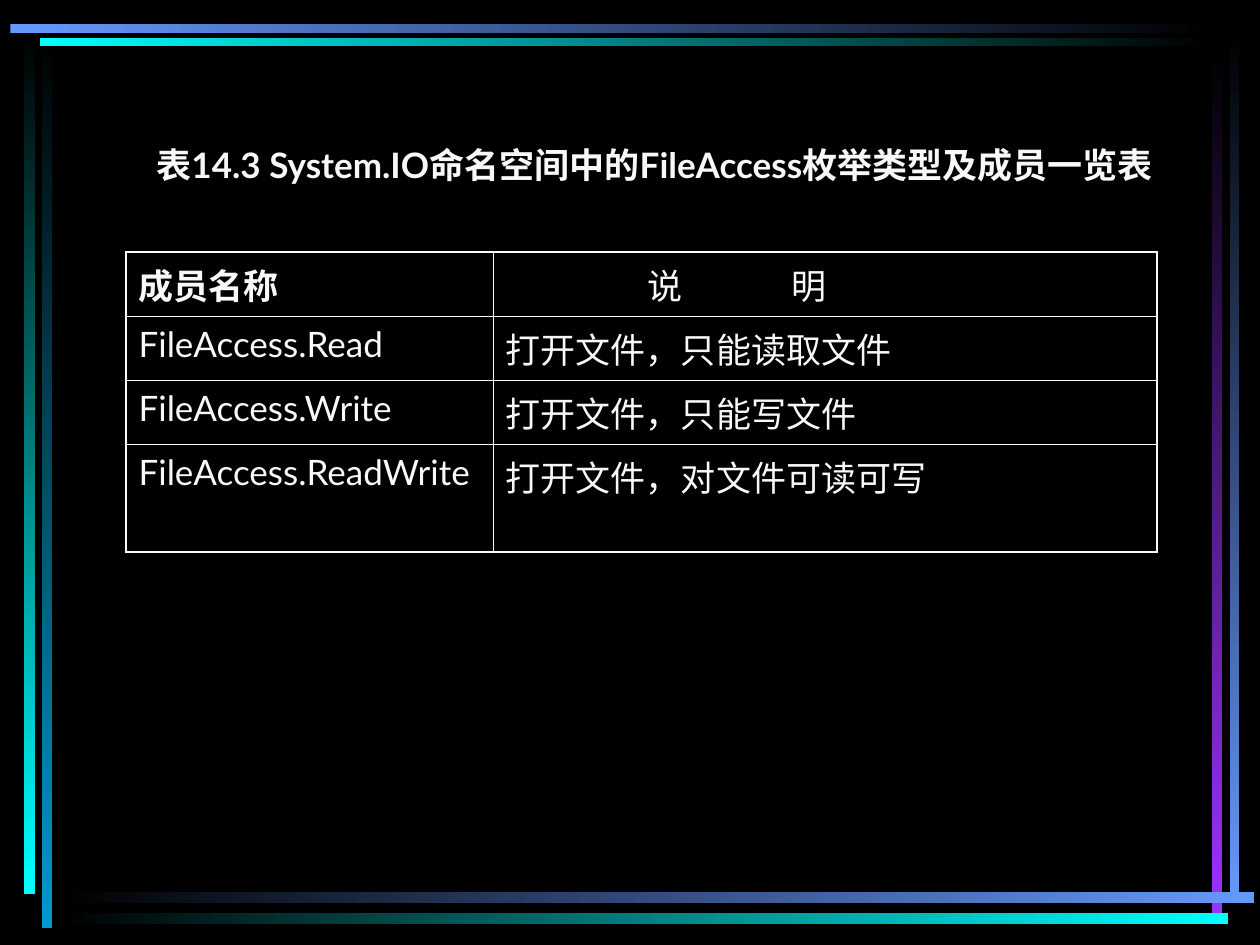
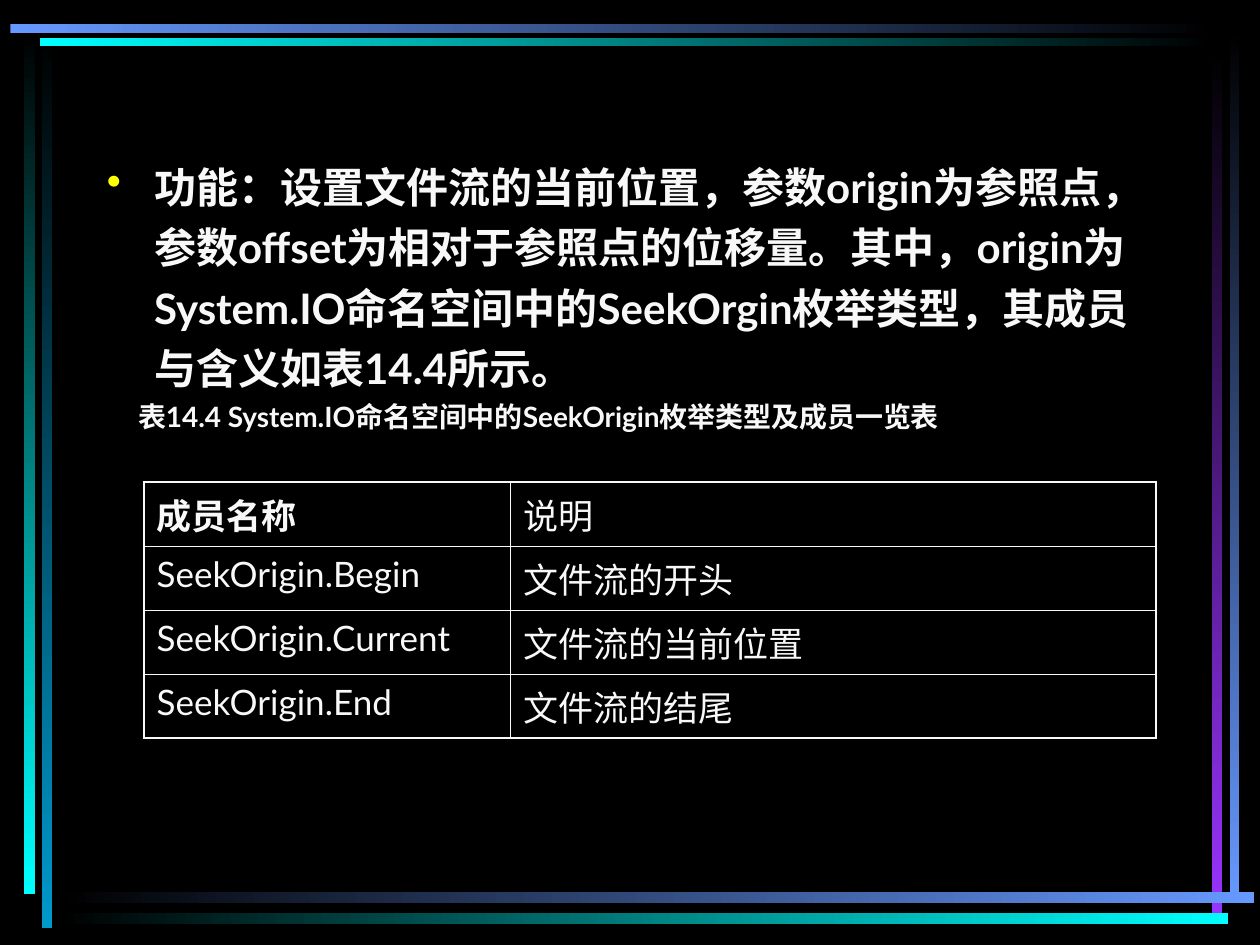
import lxml.etree
import pptx
import pptx.dml.color
import pptx.enum.lang
import pptx.enum.shapes
import pptx.enum.text
import pptx.oxml.ns
import pptx.util

Pt = pptx.util.Pt
RGB = pptx.dml.color.RGBColor
ALIGN = pptx.enum.text.PP_ALIGN
CHINESE = pptx.enum.lang.MSO_LANGUAGE_ID.SIMPLIFIED_CHINESE
qn = pptx.oxml.ns.qn

BLACK = RGB(0x00, 0x00, 0x00)
WHITE = RGB(0xF8, 0xF8, 0xF8)
YELLOW = RGB(0xFF, 0xFF, 0x00)
CYAN = RGB(0x00, 0xFF, 0xFF)
TEAL = RGB(0x00, 0x99, 0xCC)
BLUE = RGB(0x66, 0x99, 0xFF)
PURPLE = RGB(0x99, 0x33, 0xFF)
FONT = "Lato"
THIN, THICK = 0.45, 1.08

# Frame bars: left, top, width, height, colour, bright end
BARS = [
    (23.9, 20, 5.8, 510.2, TEAL, "bottom"),
    (13.7, 18, 6.1, 492.7, CYAN, "bottom"),
    (702.7, 17.3, 5.2, 499, BLUE, "bottom"),
    (692.6, 30.2, 6, 491.8, PURPLE, "bottom"),
    (32.4, 509.8, 684, 6, BLUE, "right"),
    (32.4, 521.9, 669.6, 6, CYAN, "right"),
    (23, 21.7, 671, 4.6, CYAN, "left"),
    (6, 13.5, 688.3, 5.2, BLUE, "left"),
]

ACCESS = {
    "box": (41.8, 78.2, 664.6, 41.8),
    "text": [("表14.3 System.IO命名空间中的FileAccess枚举类型及成员一览表",
              dict(size=20, bold=True, align=ALIGN.CENTER))],
    "at": (72, 144),
    "cols": (209.8, 379.5),
    "rows": (36.6, 36.6, 36.6, 61.8),
    "cells": [
        ("成员名称", "说 明"),
        ("FileAccess.Read", "打开文件，只能读取文件"),
        ("FileAccess.Write", "打开文件，只能写文件"),
        ("FileAccess.ReadWrite", "打开文件，对文件可读可写"),
    ],
    "head": dict(left=81, spread=29),
}
SEEK = {
    "box": (54, 82.8, 612, 385.2),
    "text": [
        ("功能：设置文件流的当前位置，参数origin为参照点，"
         "参数offset为相对于参照点的位移量。其中，"
         "origin为System.IO命名空间中的SeekOrgin枚举类型，"
         "其成员与含义如表14.4所示。",
         dict(size=24, bold=True, left=27, bullet=True,
              space=1.2, before=6)),
        ("表14.4 System.IO命名空间中的SeekOrigin枚举类型及成员一览表",
         dict(size=16, bold=True, left=17.8, before=4)),
    ],
    "at": (82.3, 275.5),
    "cols": (209.5, 368.9),
    "rows": (36.6,) * 4,
    "cells": [
        ("成员名称", "说明"),
        ("SeekOrigin.Begin", "文件流的开头"),
        ("SeekOrigin.Current", "文件流的当前位置"),
        ("SeekOrigin.End", "文件流的结尾"),
    ],
    "head": {},
}


def add(node, tag, **attrs):
    return lxml.etree.SubElement(node, qn(tag), attrs)


def write(para, text, size=20, bold=False, align=ALIGN.LEFT, space=1.0,
          before=0, left=0, bullet=False, spread=0):
    """Fill a paragraph; spread is extra letter spacing in points."""
    para.alignment, para.line_spacing = align, space
    para.space_before = Pt(before)
    props = para._p.get_or_add_pPr()
    props.set("marL", str(Pt(left)))
    props.set("indent", str(Pt(-left if bullet else 0)))
    props.set("hangingPunct", "0")
    if bullet:
        add(add(props, "a:buClr"), "a:srgbClr", val=str(YELLOW))
        add(props, "a:buChar", char="•")
    run = para.add_run()
    run.text = text
    font = run.font
    font.name, font.size, font.bold = FONT, Pt(size), bold
    font.color.rgb = WHITE
    font.language_id = CHINESE
    if spread:
        run._r.get_or_add_rPr().set("spc", str(spread * 100))


def frame(slide):
    """Paint the background and the fading bars round the edge."""
    back = slide.background.fill
    back.solid()
    back.fore_color.rgb = BLACK
    for *rect, tint, end in BARS:
        bar = slide.shapes.add_shape(
            pptx.enum.shapes.MSO_SHAPE.RECTANGLE, *map(Pt, rect))
        bar.shadow.inherit = False
        bar.line.fill.background()
        bar.fill.gradient()
        bar.fill.gradient_angle = 270 if end == "bottom" else 0
        pair = (tint, BLACK) if end == "left" else (BLACK, tint)
        for stop, shade in zip(bar.fill.gradient_stops, pair):
            stop.color.rgb = shade


def border(cell, widths):
    """Line a cell; widths run left, right, top, bottom."""
    props = cell._tc.get_or_add_tcPr()
    for i, (side, width) in enumerate(zip("LRTB", widths)):
        line = add(props, "a:ln" + side, w=str(Pt(width)))
        add(add(line, "a:solidFill"), "a:srgbClr", val=str(WHITE))
        props.insert(i, line)


def grid(slide, at, cols, rows, cells, head):
    """Draw a table; head formats the last cell of the first row."""
    table = slide.shapes.add_table(
        len(rows), len(cols), *map(Pt, (*at, sum(cols), sum(rows)))).table
    table.first_row = table.horz_banding = False
    for col, width in zip(table.columns, cols):
        col.width = Pt(width)
    for row, height in zip(table.rows, rows):
        row.height = Pt(height)
    for r, texts in enumerate(cells):
        for c, text in enumerate(texts):
            cell = table.cell(r, c)
            cell.fill.background()
            edges = (c == 0, c == len(cols) - 1, r == 0, r == len(rows) - 1)
            border(cell, [THICK if edge else THIN for edge in edges])
            style = head if r == 0 and c else {}
            write(cell.text_frame.paragraphs[0], text,
                  bold=r == c == 0, **style)


def build(deck, page):
    slide = deck.slides.add_slide(deck.slide_layouts[6])
    frame(slide)
    body = slide.shapes.add_textbox(*map(Pt, page["box"])).text_frame
    body.word_wrap = True
    for i, (text, style) in enumerate(page["text"]):
        para = body.add_paragraph() if i else body.paragraphs[0]
        write(para, text, **style)
    grid(slide, page["at"], page["cols"], page["rows"], page["cells"],
         page["head"])


def main():
    deck = pptx.Presentation()
    deck.slide_width, deck.slide_height = Pt(720), Pt(540)
    for page in (ACCESS, SEEK):
        build(deck, page)
    deck.save("out.pptx")


if __name__ == "__main__":
    main()
